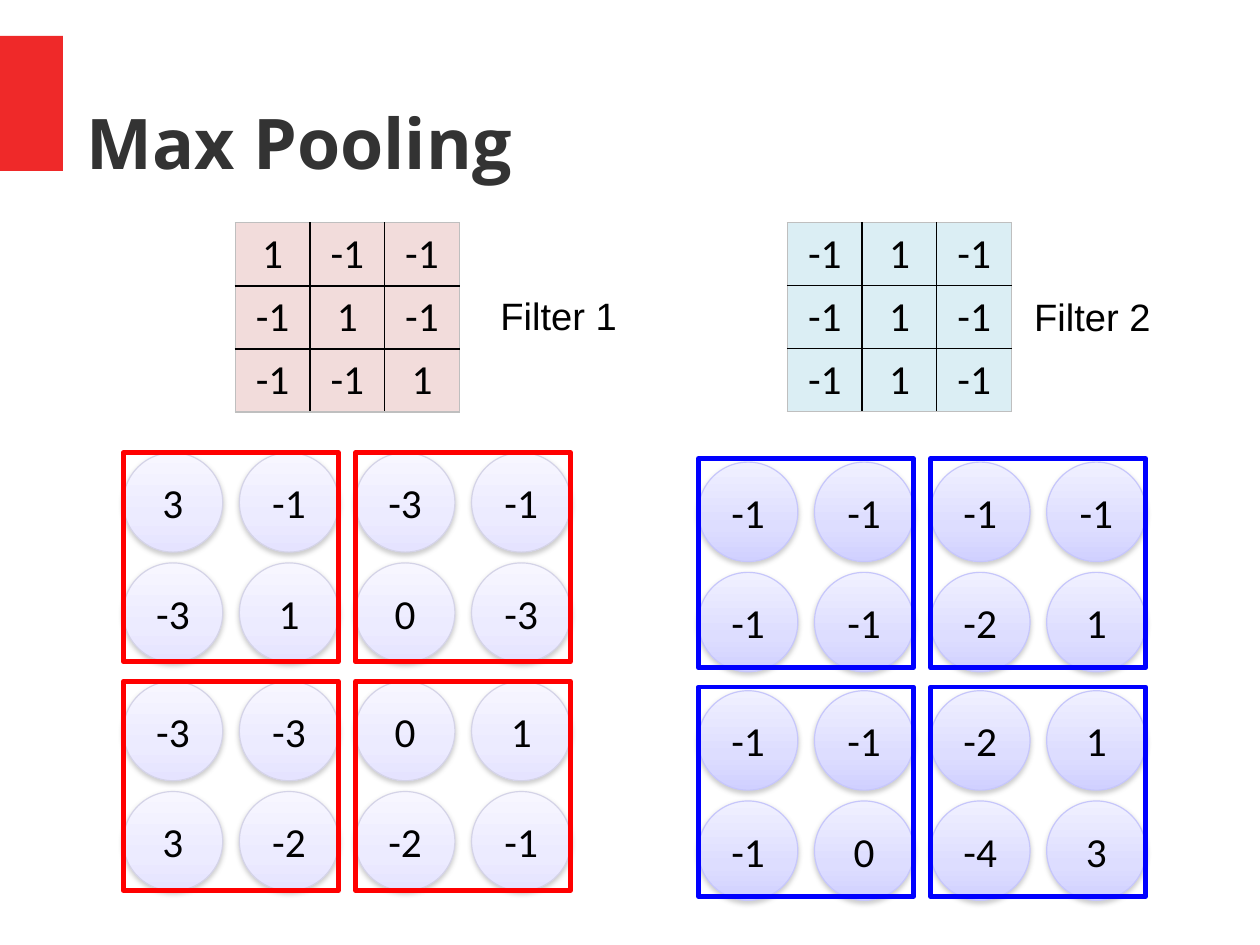
from dataclasses import dataclass
from itertools import product

from lxml.etree import SubElement
from pptx import Presentation
from pptx.dml.color import RGBColor
from pptx.enum.shapes import MSO_SHAPE
from pptx.enum.text import MSO_ANCHOR, MSO_AUTO_SIZE, PP_ALIGN
from pptx.oxml import parse_xml
from pptx.oxml.ns import nsdecls, qn
from pptx.util import Cm, Pt

# Content: each side has a filter and the feature map it yields
TITLE = "Max Pooling"
SIDES = [
    dict(
        name="Filter 1", tint="F2DCDB", frame="FF0000",
        ball=("F7F6FF", "ECEBFF", "E5E3FF"), edge="D4D3E7",
        filter=[(1, -1, -1), (-1, 1, -1), (-1, -1, 1)],
        map=[(3, -1, -3, -1), (-3, 1, 0, -3), (-3, -3, 0, 1), (3, -2, -2, -1)],
        table=(5.23, 4.95), label=(10.19, 6.35), left=2.74, balls=10.06, boxes=10.06,
    ),
    dict(
        name="Filter 2", tint="DBEEF4", frame="0000FF",
        ball=("F0F0FF", "DDDDFF", "D0D0FF"), edge="C6C6FB",
        filter=[(-1, 1, -1), (-1, 1, -1), (-1, 1, -1)],
        map=[(-1, -1, -1, -1), (-1, -1, -2, 1), (-1, -1, -2, 1), (-1, 0, -4, 3)],
        table=(17.5, 4.95), label=(22.05, 6.38), left=15.52, balls=10.27, boxes=10.19,
    ),
]


@dataclass
class Theme:
    accent: str = "EF2929"
    title: str = "333333"
    ink: str = "000000"
    rim: str = "BFBFBF"
    shade: str = "808080"
    head: int = 44
    value: int = 26
    label: int = 24


theme = Theme()

# Sizes and steps in centimetres
CELL = (1.66, 1.4)
BALL = 2.21
STEP = (2.58, 2.45)    # ball to ball inside a pool
POOL = (5.16, 5.08)    # pool to pool
BOX = (4.78, 4.65)
PAD = (0.28, 0.14)


def rgb(code):
    return RGBColor.from_string(code)


def write(frame, text, face, size, color, align=PP_ALIGN.CENTER, bold=False):
    frame.text = str(text)
    para = frame.paragraphs[0]
    para.alignment = align
    font = para.runs[0].font
    font.name, font.size, font.bold = face, Pt(size), bold
    font.color.rgb = rgb(color)


def pad(area, x, y):
    area.margin_left = area.margin_right = Cm(x)
    area.margin_top = area.margin_bottom = Cm(y)


def add_ball(slide, x, y, value, side):
    ball = slide.shapes.add_shape(MSO_SHAPE.OVAL, Cm(x), Cm(y), Cm(BALL), Cm(BALL))
    ball.shadow.inherit = False
    stops = "".join(
        f'<a:gs pos="{at}"><a:srgbClr val="{color}"/></a:gs>'
        for at, color in zip((0, 65000, 100000), side["ball"])
    )
    props = ball.element.spPr
    props.insert(2, parse_xml(
        f'<a:gradFill {nsdecls("a")} rotWithShape="1"><a:gsLst>{stops}</a:gsLst>'
        '<a:lin ang="5400000" scaled="0"/></a:gradFill>'
    ))
    props.find(qn("a:effectLst")).append(parse_xml(
        f'<a:outerShdw {nsdecls("a")} blurRad="{Pt(3.1)}" dist="{Pt(1.6)}" dir="5400000"'
        f' rotWithShape="0"><a:srgbClr val="{theme.shade}"><a:alpha val="38000"/>'
        '</a:srgbClr></a:outerShdw>'
    ))
    ball.line.color.rgb = rgb(side["edge"])
    ball.line.width = Pt(0.75)
    frame = ball.text_frame
    pad(frame, *PAD)
    frame.vertical_anchor = MSO_ANCHOR.MIDDLE
    write(frame, value, "Calibri", theme.value, theme.ink)


def add_box(slide, x, y, color):
    box = slide.shapes.add_shape(MSO_SHAPE.RECTANGLE, Cm(x), Cm(y), Cm(BOX[0]), Cm(BOX[1]))
    box.shadow.inherit = False
    box.fill.background()
    box.line.color.rgb = rgb(color)
    box.line.width = Pt(3)


def set_edges(cell, rims):
    props = cell._tc.get_or_add_tcPr()
    for spot, (tag, rim) in enumerate(zip(("lnL", "lnR", "lnT", "lnB"), rims)):
        line = SubElement(props, qn(f"a:{tag}"), w=str(Pt(1)))
        fill = SubElement(line, qn("a:solidFill"))
        SubElement(fill, qn("a:srgbClr"), val=theme.rim if rim else theme.ink)
        props.insert(spot, line)


def add_filter(slide, side):
    rows = side["filter"]
    count = len(rows)
    x, y = side["table"]
    table = slide.shapes.add_table(
        count, count, Cm(x), Cm(y), Cm(CELL[0] * count), Cm(CELL[1] * count)
    ).table
    table.first_row = table.horz_banding = False
    last = count - 1
    for r, c in product(range(count), repeat=2):
        cell = table.cell(r, c)
        pad(cell, *PAD)
        write(cell.text_frame, rows[r][c], "Calibri", theme.value, theme.ink)
        cell.fill.solid()
        cell.fill.fore_color.rgb = rgb(side["tint"])
        set_edges(cell, (c == 0, c == last, r == 0, r == last))


def add_label(slide, side):
    x, y = side["label"]
    frame = slide.shapes.add_textbox(Cm(x), Cm(y), Cm(4.45), Cm(1.32)).text_frame
    frame.word_wrap = True
    frame.auto_size = MSO_AUTO_SIZE.SHAPE_TO_FIT_TEXT
    pad(frame, *PAD)
    write(frame, side["name"], "Arial", theme.label, theme.ink)


def main():
    deck = Presentation()
    deck.slide_width, deck.slide_height = Cm(28), Cm(21)
    slide = deck.slides.add_slide(deck.slide_layouts[5])

    # Accent bar and title
    bar = slide.shapes.add_shape(MSO_SHAPE.RECTANGLE, 0, Cm(0.8), Cm(1.4), Cm(3))
    bar.shadow.inherit = False
    bar.fill.solid()
    bar.fill.fore_color.rgb = rgb(theme.accent)
    bar.line.fill.background()

    title = slide.shapes.title
    title.left, title.top, title.width, title.height = Cm(1.93), Cm(1.12), Cm(24.16), Cm(4.06)
    frame = title.text_frame
    pad(frame, 0, 0)
    frame.auto_size = MSO_AUTO_SIZE.NONE
    frame.vertical_anchor = MSO_ANCHOR.MIDDLE
    write(frame, TITLE, "Open Sans", theme.head, theme.title, PP_ALIGN.LEFT, True)

    for side in SIDES:
        add_filter(slide, side)
        add_label(slide, side)

        # Feature map
        for r, row in enumerate(side["map"]):
            for c, value in enumerate(row):
                x = side["left"] + c // 2 * POOL[0] + c % 2 * STEP[0]
                y = side["balls"] + r // 2 * POOL[1] + r % 2 * STEP[1]
                add_ball(slide, x, y, value, side)

        # Pooling frames
        for r, c in product(range(2), repeat=2):
            add_box(slide, side["left"] + c * POOL[0], side["boxes"] + r * POOL[1], side["frame"])

    deck.save("out.pptx")


if __name__ == "__main__":
    main()
